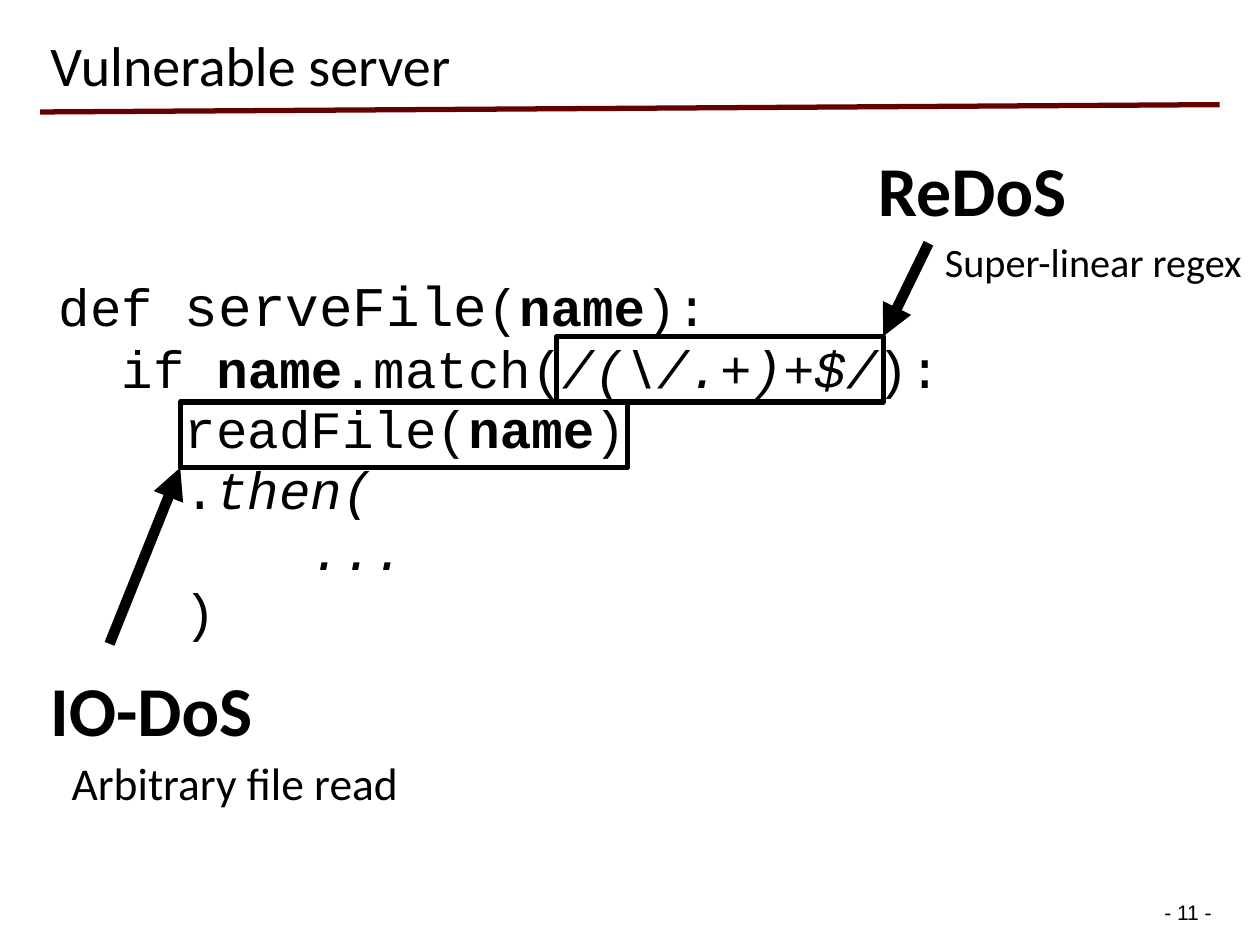
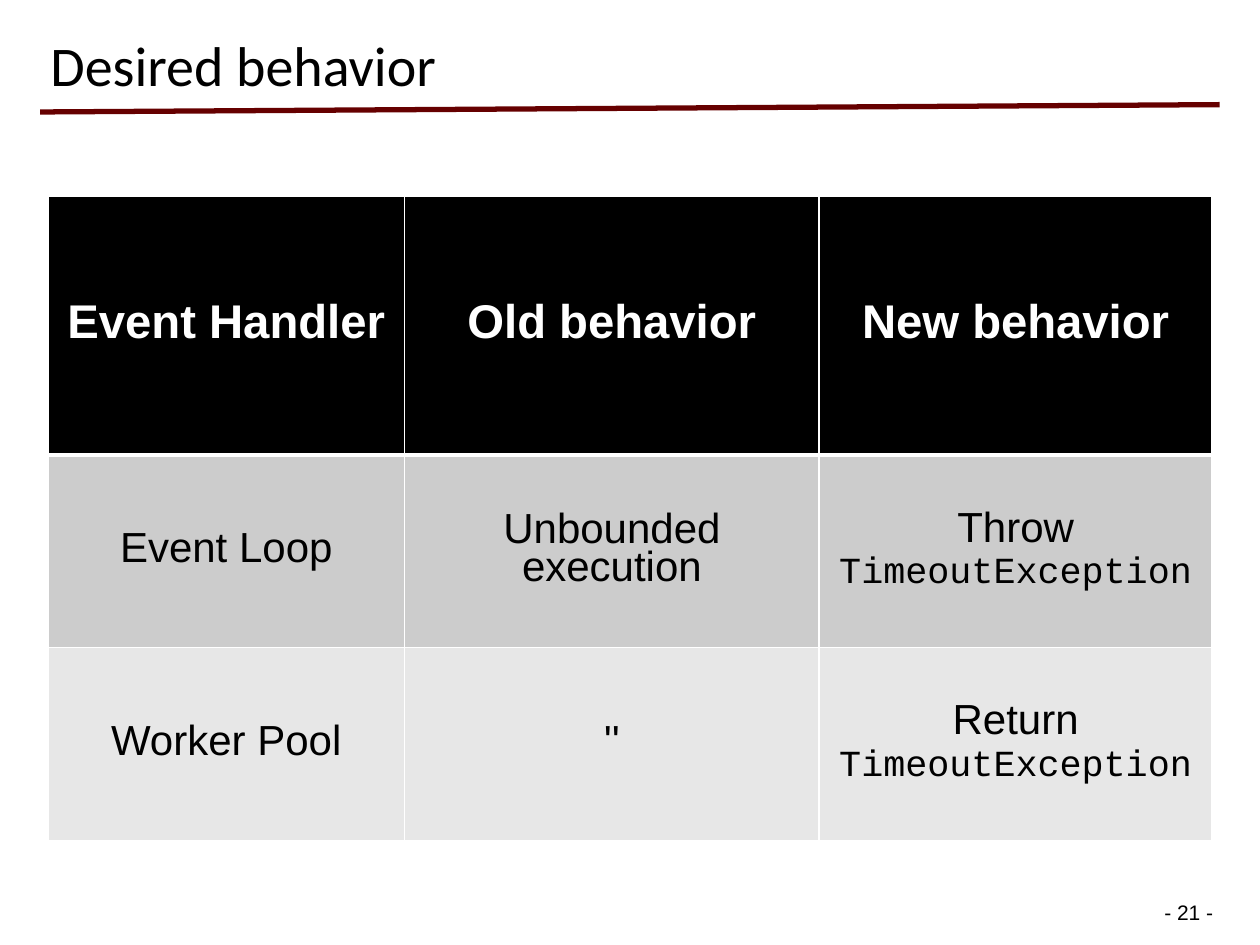
from lxml import etree
from pptx import Presentation
from pptx.dml.color import RGBColor
from pptx.enum.shapes import MSO_CONNECTOR, MSO_SHAPE
from pptx.enum.text import MSO_ANCHOR, MSO_AUTO_SIZE, PP_ALIGN
from pptx.oxml.ns import qn
from pptx.util import Pt

STRAIGHT = MSO_CONNECTOR.STRAIGHT
RECTANGLE = MSO_SHAPE.RECTANGLE
MIDDLE, BOTTOM = MSO_ANCHOR.MIDDLE, MSO_ANCHOR.BOTTOM
NO_FIT, GROW = MSO_AUTO_SIZE.NONE, MSO_AUTO_SIZE.SHAPE_TO_FIT_TEXT
LEFT, CENTER = PP_ALIGN.LEFT, PP_ALIGN.CENTER

COLORS = {
    "text": "000000",
    "rule": "660000",
    "header": "000000",
    "header_text": "FFFFFF",
    "border": "FFFFFF",
    "band_dark": "CCCCCC",
    "band_light": "E7E7E7",
}
HEADING, BODY, MONO = "Calibri", "Arial", "Courier New"
TITLE_ONLY = 5
INDENT = 36

CODE = [
    (0, [("def ", ""), ("serveFile", "large"), ("(", ""), ("name", "bold"), ("):", "")]),
    (1, [("if ", ""), ("name", "bold"), (".match(", ""), (r"/(\/.+)+$/", "italic"), ("):", "")]),
    (2, [("readFile(", ""), ("name", "bold"), (")", "")]),
    (2, [(".", ""), ("then(", "italic")]),
    (4, [("...", "italic")]),
    (2, [(")", "")]),
]
BEHAVIORS = [
    ["Event Handler", "Old behavior", "New behavior"],
    ["Event Loop", "Unbounded execution", "Throw\nTimeoutException"],
    ["Worker Pool", "''", "Return\nTimeoutException"],
]


def rgb(name):
    return RGBColor.from_string(COLORS[name])


def style(p, size, name, color="text", bold=False):
    p.font.size = Pt(size)
    p.font.name = name
    p.font.bold = bold
    p.font.color.rgb = rgb(color)


def tighten(p):
    p.line_spacing = 0.8
    p.space_before = Pt(0)
    before = p._p.pPr.find(qn("a:spcBef"))
    before.remove(before[0])
    etree.SubElement(before, qn("a:spcPct"), val="20000")


def add_text_box(slide, box, wrap=False):
    tf = slide.shapes.add_textbox(*map(Pt, box)).text_frame
    tf.word_wrap = wrap
    tf.auto_size = GROW
    return tf


def add_label(slide, box, text, size, bold=False):
    p = add_text_box(slide, box).paragraphs[0]
    p.text = text
    style(p, size, HEADING, bold=bold)
    tighten(p)


def add_line(slide, start, end, color, width, arrow=False):
    line = slide.shapes.add_connector(STRAIGHT, *map(Pt, (*start, *end)))
    line.line.color.rgb = rgb(color)
    line.line.width = Pt(width)
    if arrow:
        etree.SubElement(line.line._get_or_add_ln(), qn("a:tailEnd"), type="triangle")
    etree.SubElement(line._element.spPr, qn("a:effectLst"))


def add_frame(slide, box):
    sp = slide.shapes.add_shape(RECTANGLE, *map(Pt, box))
    sp.shadow.inherit = False
    sp.fill.background()
    sp.line.color.rgb = rgb("text")
    sp.line.width = Pt(3)


def add_page(prs, title, number):
    slide = prs.slides.add_slide(prs.slide_layouts[TITLE_ONLY])
    sp = slide.shapes.title
    sp.left, sp.top, sp.width, sp.height = map(Pt, (21.6, 9.4, 633.6, 50.4))
    tf = sp.text_frame
    tf.text = title
    tf.auto_size = NO_FIT
    tf.vertical_anchor = BOTTOM
    p = tf.paragraphs[0]
    p.alignment = LEFT
    p.line_spacing = 0.9
    style(p, 32, HEADING)

    add_line(slide, (23, 64), (697, 59.8), "rule", 3)

    tf = add_text_box(slide, (661.7, 512.6, 37.4, 17.3))
    tf.margin_left = tf.margin_right = Pt(3.6)
    tf.margin_top = tf.margin_bottom = Pt(1.4)
    tf.paragraphs[0].text = f"- {number} -"
    style(tf.paragraphs[0], 12, BODY)
    return slide


def add_code(slide, box):
    tf = add_text_box(slide, box, wrap=True)
    for i, (depth, runs) in enumerate(CODE):
        p = tf.add_paragraph() if i else tf.paragraphs[0]
        style(p, 30, MONO)
        tighten(p)
        pPr = p._p.get_or_add_pPr()
        pPr.set("marL", str(Pt(depth * INDENT)))
        pPr.set("indent", "0")
        for text, look in runs:
            r = p.add_run()
            r.text = text
            if look == "bold":
                r.font.bold = True
            elif look == "italic":
                r.font.italic = True
            elif look == "large":
                r.font.size = Pt(32)


def add_vulnerabilities(slide, box):
    x, y, width, height = box
    add_code(slide, box)
    frame_height = 37.5
    regex = (x + 291.6, y + 33.8, 186.5, frame_height)
    read = (x + 76.4, y + 33.8 + frame_height, 255.6, frame_height)

    add_line(slide, (x + 504, y - 19.4), (regex[0] + regex[2], regex[1]), "text", 6, arrow=True)
    add_label(slide, (x + 468, y - 69.1, 144.7, 46.1), "ReDoS", 40, bold=True)
    add_label(slide, (x + 506.2, y - 20.9, 186.5, 30.2), "Super-linear regex", 23)

    add_line(slide, (x + 36, y + 209.5), (read[0], read[1] + frame_height), "text", 6, arrow=True)
    add_label(slide, (x - 5, y + 228.2, 157.7, 46.1), "IO-DoS", 40, bold=True)
    add_label(slide, (x + 7.2, y + 275.8, 203, 33.1), "Arbitrary file read", 26)

    add_frame(slide, read)
    add_frame(slide, regex)


def set_borders(cell, widths):
    tcPr = cell._tc.get_or_add_tcPr()
    for side, width in zip("LRTB", widths):
        ln = etree.SubElement(tcPr, qn(f"a:ln{side}"), w=str(Pt(width)))
        fill = etree.SubElement(ln, qn("a:solidFill"))
        etree.SubElement(fill, qn("a:srgbClr"), val=COLORS["border"])


def add_behavior_table(slide, box):
    table = slide.shapes.add_table(3, 3, *map(Pt, box)).table
    for column, width in zip(table.columns, (203.8, 236.9, 224.6)):
        column.width = Pt(width)
    for row, height in zip(table.rows, (147.6, 110.2, 110.2)):
        row.height = Pt(height)
    fills = ("header", "band_dark", "band_light")
    for i, (texts, fill) in enumerate(zip(BEHAVIORS, fills)):
        header = i == 0
        for j, text in enumerate(texts):
            cell = table.cell(i, j)
            set_borders(cell, (1, 1, 3 if i == 1 else 1, 3 if header else 1))
            cell.fill.solid()
            cell.fill.fore_color.rgb = rgb(fill)
            cell.vertical_anchor = MIDDLE
            cell.text = text
            for k, p in enumerate(cell.text_frame.paragraphs):
                p.alignment = CENTER
                tighten(p)
                if header:
                    style(p, 27, BODY, "header_text", bold=True)
                elif k:
                    style(p, 21, MONO)
                else:
                    style(p, 24, BODY)


def main():
    prs = Presentation()
    prs.slide_width, prs.slide_height = Pt(720), Pt(540)
    add_vulnerabilities(add_page(prs, "Vulnerable server", 11), (26.6, 158.4, 609.1, 221.8))
    add_behavior_table(add_page(prs, "Desired behavior", 21), (27.4, 112.3, 665.3, 368))
    prs.save("out.pptx")


if __name__ == "__main__":
    main()
